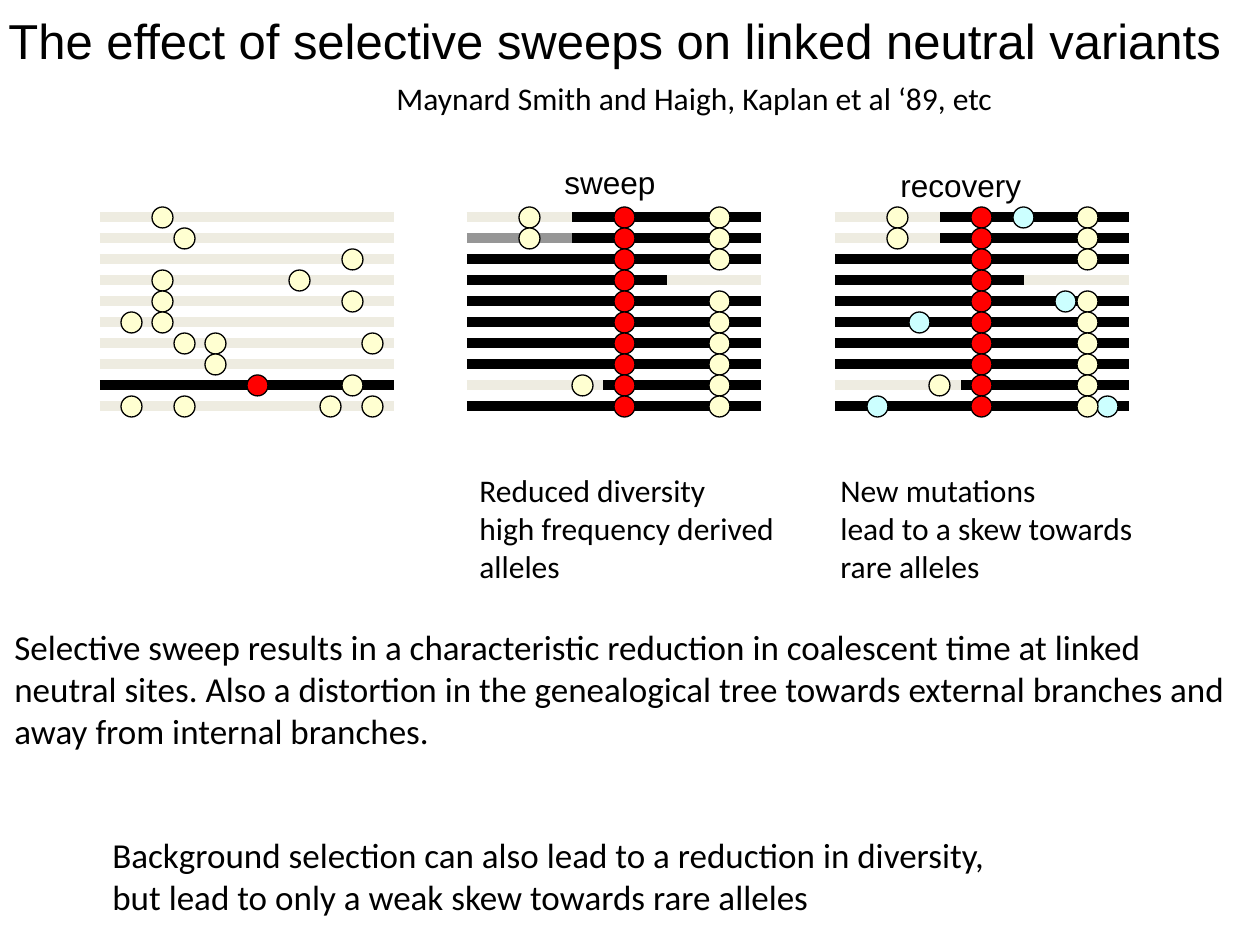
from lxml import etree
from pptx import Presentation
from pptx import util as u
from pptx.dml.color import RGBColor
from pptx.enum import shapes, text
from pptx.oxml.ns import qn

PX = 914400 // 126
STEP = 10.5          # horizontal grid inside a panel
SPAN = 28            # panel width in steps
DOT = 21             # dot diameter, also the row pitch
TOP = 207
ROWS = 10

COLOURS = {
    "ink": "000000",
    "ancestral": "EEECE1",
    "recombinant": "969696",
    "swept": "000000",
    "neutral": "FFFFD1",
    "selected": "FF0000",
    "new": "CCFFFF",
}

SWEPT = [("swept", 0, SPAN)]
ANCESTRAL = [("ancestral", 0, SPAN)]

# Each panel: left edge, chromosome segments that differ from the usual row,
# and the grid positions of the dots of each kind, by row
PANELS = [
    {
        "left": 100,
        "usual": ANCESTRAL,
        "segments": {8: SWEPT},
        "dots": {
            "neutral": {0: [5], 1: [7], 2: [23], 3: [5, 18], 4: [5, 23],
                        5: [2, 5], 6: [7, 10, 25], 7: [10], 8: [23],
                        9: [2, 7, 21, 25]},
            "selected": {8: [14]},
        },
    },
    {
        "left": 467,
        "usual": SWEPT,
        "segments": {
            0: [("swept", 10, SPAN), ("ancestral", 0, 10)],
            1: [("swept", 10, SPAN), ("recombinant", 0, 10)],
            3: [("swept", 0, 20), ("ancestral", 19, SPAN)],
            8: [("swept", 13, SPAN), ("ancestral", 0, 13)],
        },
        "dots": {
            "selected": {row: [14] for row in range(ROWS)},
            "neutral": {row: [23] for row in range(ROWS) if row != 3}
            | {0: [5, 23], 1: [5, 23], 8: [10, 23]},
        },
    },
    {
        "left": 835,
        "usual": SWEPT,
        "segments": {
            0: [("swept", 10, SPAN), ("ancestral", 0, 10)],
            1: [("swept", 10, SPAN), ("ancestral", 0, 10)],
            3: [("swept", 0, 18), ("ancestral", 18, SPAN)],
            8: [("swept", 12, SPAN), ("ancestral", 0, 12)],
        },
        "dots": {
            "new": {0: [17], 4: [21], 5: [7], 9: [3, 25]},
            "selected": {row: [13] for row in range(ROWS)},
            "neutral": {row: [23] for row in range(ROWS) if row != 3}
            | {0: [5, 23], 1: [5, 23], 8: [9, 23]},
        },
    },
]


def px(length):
    return u.Emu(length * PX)


def colour(name):
    return RGBColor.from_string(COLOURS[name])


def add_text(page, frame, lines, size, font="Calibri", wrap=False):
    box = page.shapes.add_textbox(*map(px, frame))
    content = box.text_frame
    content.text = "\n".join(lines)
    content.word_wrap = wrap
    content.auto_size = text.MSO_AUTO_SIZE.SHAPE_TO_FIT_TEXT
    for paragraph in content.paragraphs:
        for span in paragraph.runs:
            span.font.name = font
            span.font.size = u.Pt(size)
            span.font.color.rgb = colour("ink")
    return box


def add_title(page, wording):
    box = add_text(page, (-8, -39, 1245, 158), [wording], 28, "Arial", wrap=True)
    content = box.text_frame
    content.auto_size = text.MSO_AUTO_SIZE.NONE
    content.vertical_anchor = text.MSO_ANCHOR.MIDDLE
    content.paragraphs[0].alignment = text.PP_ALIGN.CENTER


def add_segment(page, start, end, y, kind):
    line = page.shapes.add_connector(
        shapes.MSO_CONNECTOR.STRAIGHT, px(start), px(y), px(end), px(y))
    line.line.color.rgb = colour(kind)
    line.line.width = u.Pt(6)
    etree.SubElement(line._element.spPr, qn("a:effectLst"))


def add_dot(page, x, y, kind):
    dot = page.shapes.add_shape(
        shapes.MSO_SHAPE.OVAL, px(x), px(y), px(DOT), px(DOT))
    dot.shadow.inherit = False
    dot.fill.solid()
    dot.fill.fore_color.rgb = colour(kind)
    dot.line.color.rgb = colour("ink")
    dot.line.width = u.Pt(0.75)


def add_panel(page, panel):
    def grid_x(step):
        return panel["left"] + round(step * STEP)

    # Chromosomes
    for row in range(ROWS):
        y = TOP + row * DOT + DOT // 2
        for kind, start, end in panel["segments"].get(row, panel["usual"]):
            add_segment(page, grid_x(start), grid_x(end), y, kind)

    # Variants
    for kind, rows in panel["dots"].items():
        for row, steps in rows.items():
            for step in steps:
                add_dot(page, grid_x(step), TOP + row * DOT, kind)


def main():
    deck = Presentation()
    deck.slide_width, deck.slide_height = u.Inches(10), u.Inches(7.5)
    page = deck.slides.add_slide(deck.slide_layouts[6])

    # Heading
    add_title(page, "The effect of selective sweeps on linked neutral variants")
    add_text(page, (384, 73, 891, 50),
             ["Maynard Smith and Haigh, Kaplan et al ‘89, etc"], 18, wrap=True)

    # Panels with their labels and captions
    for panel in PANELS:
        add_panel(page, panel)
    add_text(page, (552, 157, 147, 63), ["sweep"], 18, "Arial")
    add_text(page, (888, 160, 186, 63), ["recovery"], 18, "Arial")
    add_text(page, (467, 465, 324, 127),
             ["Reduced diversity", "high frequency derived", "alleles"], 18)
    add_text(page, (828, 465, 323, 127),
             ["New mutations", "lead to a skew towards", "rare alleles"], 18)

    # Conclusions
    add_text(page, (2, 619, 1250, 140),
             ["Selective sweep results in a characteristic reduction in "
              "coalescent time at linked neutral sites. Also a distortion in "
              "the genealogical tree towards external branches and away from "
              "internal branches."], 20, wrap=True)
    add_text(page, (100, 827, 910, 97),
             ["Background selection can also lead to a reduction in diversity,",
              "but lead to only a weak skew towards rare alleles"], 20)

    deck.save("out.pptx")


if __name__ == "__main__":
    main()
